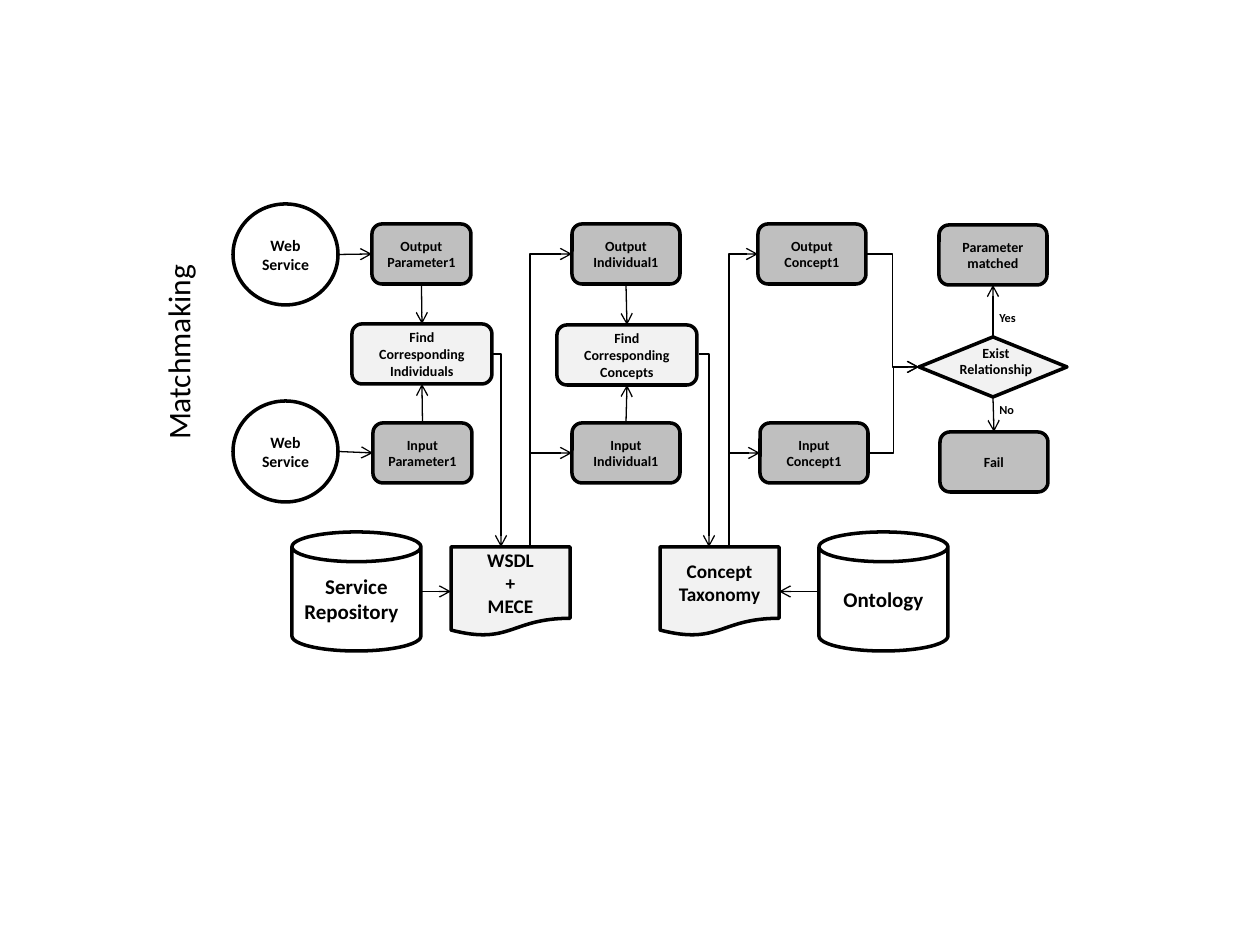
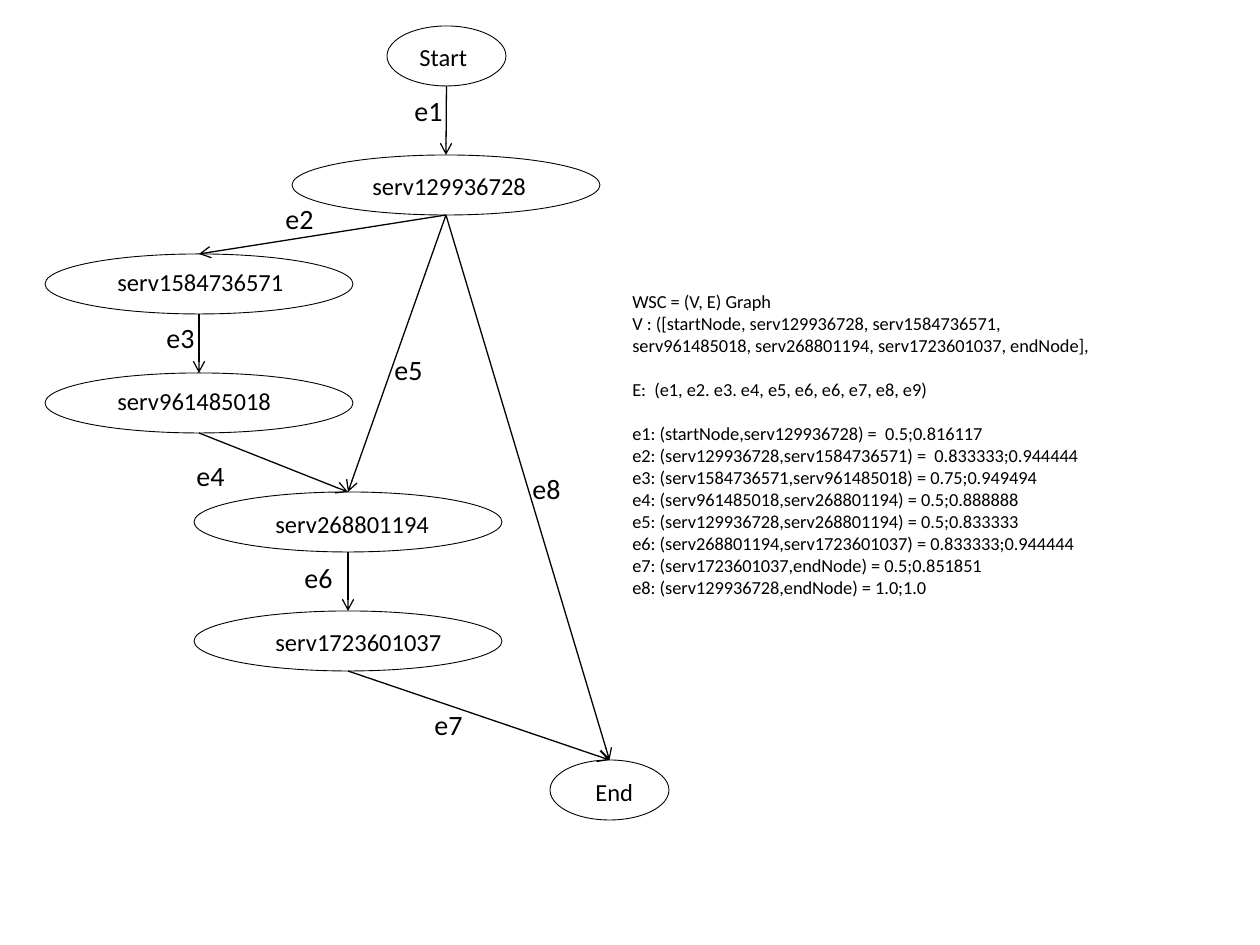
"""Builds a matchmaking flow chart and a service composition graph."""
from lxml import etree
from pptx import Presentation
from pptx.dml.color import RGBColor
from pptx.enum.shapes import MSO_CONNECTOR as LINK, MSO_SHAPE as SHAPE
from pptx.enum.text import MSO_ANCHOR as ANCHOR, MSO_AUTO_SIZE as FIT, PP_ALIGN as ALIGN
from pptx.oxml.ns import qn
from pptx.util import Inches, Pt

PX_PER_INCH = 126
FONT = "Calibri"
BLACK, WHITE, LIGHT, GREY = "000000", "FFFFFF", "F2F2F2", "BFBFBF"

STYLES = {
    "store": dict(kind=SHAPE.CAN, fill=WHITE, size=12, extent=(129, 119)),
    "service": dict(kind=SHAPE.OVAL, fill=WHITE, size=9, extent=(105, 101)),
    "search": dict(kind=SHAPE.FLOWCHART_ALTERNATE_PROCESS, fill=LIGHT, size=8, extent=(140, 60)),
    "document": dict(kind=SHAPE.FLOWCHART_DOCUMENT, fill=LIGHT, size=11, extent=(119, 89)),
    "parameter": dict(kind=SHAPE.FLOWCHART_ALTERNATE_PROCESS, fill=GREY, size=8, extent=(99, 60)),
    "value": dict(kind=SHAPE.FLOWCHART_ALTERNATE_PROCESS, fill=GREY, size=8, extent=(108, 60)),
    "decision": dict(kind=SHAPE.FLOWCHART_DECISION, fill=LIGHT, size=8, extent=(148, 60)),
}

TITLE = ("Matchmaking", (74, 324, 207, 50))
STEPS = {
    "repository": ("store", 292, 532, ["Service", "Repository"]),
    "find individuals": ("search", 352, 324, ["Find Corresponding Individuals"]),
    "ontology": ("store", 819, 532, ["Ontology"]),
    "taxonomy": ("document", 660, 547, ["Concept", "Taxonomy"]),
    "output service": ("service", 233, 204, ["Web", "Service"]),
    "input service": ("service", 233, 401, ["Web", "Service"]),
    "output parameter": ("parameter", 372, 224, ["Output Parameter1"]),
    "input parameter": ("parameter", 373, 423, ["Input", "Parameter1"]),
    "relationship": ("decision", 919, 337, []),
    "output individual": ("value", 572, 224, ["Output Individual1"]),
    "input individual": ("value", 572, 423, ["Input Individual1"]),
    "output concept": ("value", 758, 224, ["Output Concept1"]),
    "input concept": ("value", 760, 423, ["Input", "Concept1"]),
    "find concepts": ("search", 557, 325, ["Find Corresponding Concepts"]),
    "wsdl": ("document", 451, 547, ["WSDL", "+", "MECE"]),
    "matched": ("value", 939, 225, ["Parameter", "matched"]),
    "fail": ("value", 940, 432, ["Fail"]),
}
STRAIGHT_FLOWS = [
    ("output service", "right", "output parameter", "left"),
    ("input service", "right", "input parameter", "left"),
    ("output parameter", "bottom", "find individuals", "top"),
    ("input parameter", "top", "find individuals", "bottom"),
    ("output individual", "bottom", "find concepts", "top"),
    ("input individual", "top", "find concepts", "bottom"),
    ("repository", "right", "wsdl", "left"),
    ("ontology", "left", "taxonomy", "right"),
    ("relationship", "top", "matched", "bottom"),
    ("relationship", "bottom", "fail", "top"),
]
DOWN_FLOWS = [((492, 354), (501, 547)), ((699, 354), (709, 547))]
UP_FLOWS = [(530, "output individual", "input individual"),
            (729, "output concept", "input concept")]
DOCUMENT_TOP = 547
DECISION_LABELS = [
    (["Yes"], (987, 304, 45, 28), dict(size=7)),
    (["No"], (987, 396, 45, 28), dict(size=7)),
    (["Exist", "Relationship"], (945, 338, 102, 84), dict(size=8, align=ALIGN.CENTER)),
]

NODE_HEIGHT = 60
NODES = {
    "Start": ((387, 26, 119), (407, 36, 74)),
    "End": ((550, 760, 119), (583, 771, 64)),
    "serv129936728": ((292, 155, 308), (360, 165, 181)),
    "serv961485018": ((45, 373, 308), (105, 380, 181)),
    "serv1584736571": ((45, 254, 308), (105, 261, 194)),
    "serv268801194": ((194, 492, 308), (263, 503, 181)),
    "serv1723601037": ((194, 611, 308), (263, 621, 194)),
}
EDGES = [
    ("e1", "Start", "serv129936728", 402, 87),
    ("e2", "serv129936728", "serv1584736571", 273, 195),
    ("e3", "serv1584736571", "serv961485018", 154, 314),
    ("e4", "serv961485018", "serv268801194", 184, 452),
    ("e5", "serv129936728", "serv268801194", 382, 346),
    ("e6", "serv268801194", "serv1723601037", 292, 554),
    ("e7", "serv1723601037", "End", 422, 701),
    ("e8", "serv129936728", "End", 520, 465),
]
GRAPH_BOX = (620, 284, 515, 324)
GRAPH_GROUPS = [
    ["WSC = (V, E) Graph",
     "V : ([startNode, serv129936728, serv1584736571, serv961485018, serv268801194, "
     "serv1723601037, endNode],"],
    ["E:  (e1, e2. e3. e4, e5, e6, e6, e7, e8, e9)"],
    ["e1: (startNode,serv129936728) =  0.5;0.816117",
     "e2: (serv129936728,serv1584736571) =  0.833333;0.944444",
     "e3: (serv1584736571,serv961485018) = 0.75;0.949494",
     "e4: (serv961485018,serv268801194) = 0.5;0.888888",
     "e5: (serv129936728,serv268801194) = 0.5;0.833333",
     "e6: (serv268801194,serv1723601037) = 0.833333;0.944444",
     "e7: (serv1723601037,endNode) = 0.5;0.851851",
     "e8: (serv129936728,endNode) = 1.0;1.0"],
]


def px(*lengths):
    return [Inches(length / PX_PER_INCH) for length in lengths]


def color(value):
    return RGBColor.from_string(value)


def write(box, lines, size, bold=False, align=ALIGN.LEFT, anchor=ANCHOR.TOP, wrap=True):
    frame = box.text_frame
    frame.word_wrap = wrap
    frame.vertical_anchor = anchor
    for index, line in enumerate(lines):
        para = frame.paragraphs[0] if index == 0 else frame.add_paragraph()
        para.alignment = align
        span = para.add_run()
        span.text = line
        span.font.name = FONT
        span.font.size = Pt(size)
        span.font.bold = bold
        span.font.color.rgb = color(BLACK)
    return frame


def add_label(page, lines, area, **text_format):
    box = page.shapes.add_textbox(*px(*area))
    frame = write(box, lines, **text_format)
    frame.auto_size = FIT.SHAPE_TO_FIT_TEXT
    return frame


def add_outlined(page, kind, area, fill, width):
    shape = page.shapes.add_shape(kind, *px(*area))
    shape.shadow.inherit = False
    shape.fill.solid()
    shape.fill.fore_color.rgb = color(fill)
    shape.line.color.rgb = color(BLACK)
    shape.line.width = Pt(width)
    return shape


def add_arrow(page, start, end, kind=LINK.STRAIGHT, preset=None, arrow_end="a:tailEnd"):
    line = page.shapes.add_connector(kind, *px(*start, *end))
    line.line.color.rgb = color(BLACK)
    line.line.width = Pt(0.75)
    properties = line._element.spPr
    etree.SubElement(properties.find(qn("a:ln")), qn(arrow_end), type="arrow")
    etree.SubElement(properties, qn("a:effectLst"))
    if preset:
        properties.find(qn("a:prstGeom")).set("prst", preset)


def side(area, name):
    left, top, width, height = area
    across, down = {"left": (0, 0.5), "right": (1, 0.5),
                    "top": (0.5, 0), "bottom": (0.5, 1)}[name]
    return left + width * across, top + height * down


def build_matchmaking(deck):
    page = deck.slides.add_slide(deck.slide_layouts[5])
    title = page.shapes.title
    text, area = TITLE
    title.left, title.top, title.width, title.height = px(*area)
    title.rotation = 270
    write(title, [text], size=18, wrap=False).auto_size = FIT.NONE

    areas = {}
    for name, (style_name, left, top, lines) in STEPS.items():
        style = STYLES[style_name]
        areas[name] = (left, top, *style["extent"])
        shape = add_outlined(page, style["kind"], areas[name], style["fill"], 2)
        write(shape, lines, size=style["size"], bold=True,
              align=ALIGN.CENTER, anchor=ANCHOR.MIDDLE)
        if name == "repository":
            shape.text_frame.paragraphs[1].alignment = ALIGN.LEFT

    for source, source_side, target, target_side in STRAIGHT_FLOWS:
        add_arrow(page, side(areas[source], source_side), side(areas[target], target_side))
    for start, end in DOWN_FLOWS:
        add_arrow(page, start, end, LINK.ELBOW, "bentConnector2")
    for x, upper, lower in UP_FLOWS:
        add_arrow(page, side(areas[upper], "left"), (x, DOCUMENT_TOP),
                  LINK.ELBOW, "bentConnector2", "a:headEnd")
        entry = side(areas[lower], "left")
        add_arrow(page, (x, entry[1]), entry)
    for concept in ("output concept", "input concept"):
        add_arrow(page, side(areas[concept], "right"),
                  side(areas["relationship"], "left"), LINK.ELBOW)
    for lines, area, text_format in DECISION_LABELS:
        add_label(page, lines, area, bold=True, **text_format)


def build_service_graph(deck):
    page = deck.slides.add_slide(deck.slide_layouts[6])
    areas = {name: (*node, NODE_HEIGHT) for name, (node, label) in NODES.items()}
    for area in areas.values():
        add_outlined(page, SHAPE.OVAL, area, WHITE, 0.5)
    for name, source, target, left, top in EDGES:
        add_arrow(page, side(areas[source], "bottom"), side(areas[target], "top"))
        add_label(page, [name], (left, top, 59, 47), size=16)
    for name, (node, label) in NODES.items():
        add_label(page, [name], (*label, 43), size=14, wrap=False)

    frame = add_label(page, sum(GRAPH_GROUPS, []), GRAPH_BOX, size=10.5)
    group_start = 0
    for group in GRAPH_GROUPS[:-1]:
        group_start += len(group)
        frame.paragraphs[group_start].space_before = Pt(12.6)


def main():
    deck = Presentation()
    deck.slide_width, deck.slide_height = Inches(10), Inches(7.5)
    build_matchmaking(deck)
    build_service_graph(deck)
    deck.save("out.pptx")


if __name__ == "__main__":
    main()
